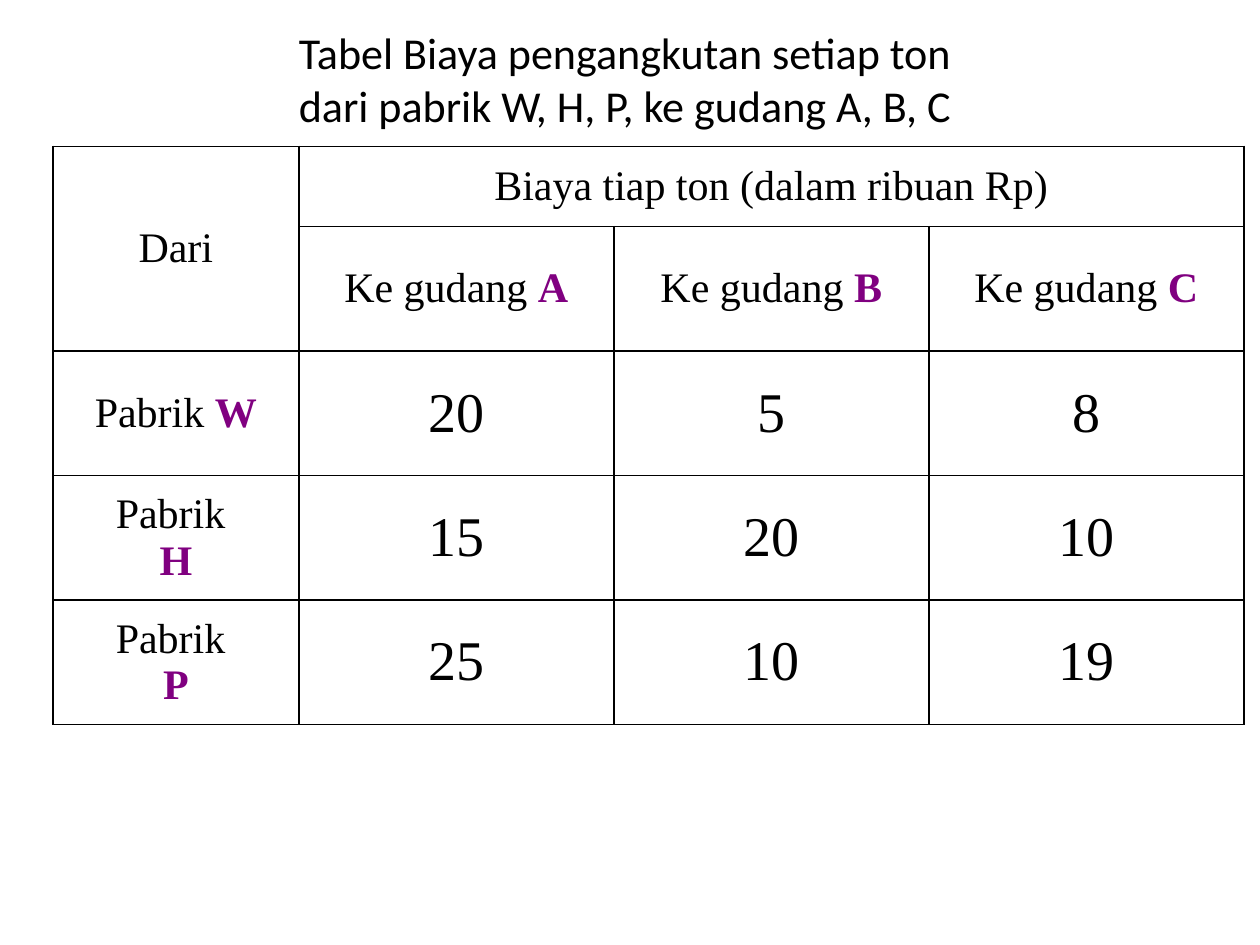
import pptx
import pptx.dml.color
import pptx.enum.text
import pptx.oxml
import pptx.oxml.ns
import pptx.util

Pt = pptx.util.Pt
BLACK, PURPLE = "000000", "800080"


def color(hex_string):
    return pptx.dml.color.RGBColor.from_string(hex_string)


class SlideBuilder:
    title_font, table_font = "Calibri", "Times New Roman"
    title_size, label_size, number_size = 25.2, 24, 32

    def __init__(self, presentation):
        self.slide = presentation.slides.add_slide(presentation.slide_layouts[5])

    def style_run(self, run, font_name, size, hex_string=BLACK, bold=False):
        run.font.name, run.font.size, run.font.bold = font_name, Pt(size), bold
        run.font.color.rgb = color(hex_string)

    def title(self, text, left, top, width, height):
        shape = self.slide.shapes.title
        shape.left, shape.top, shape.width, shape.height = map(Pt, (left, top, width, height))
        frame = shape.text_frame
        frame.text = text
        frame.vertical_anchor = pptx.enum.text.MSO_ANCHOR.MIDDLE
        paragraph = frame.paragraphs[0]
        paragraph.alignment = pptx.enum.text.PP_ALIGN.CENTER
        for run in paragraph.runs:
            self.style_run(run, self.title_font, self.title_size)

    def table(self, left, top, column_widths, row_heights):
        table = self.slide.shapes.add_table(
            len(row_heights), len(column_widths), Pt(left), Pt(top),
            Pt(sum(column_widths)), Pt(sum(row_heights))).table
        table.first_row = table.horz_banding = False
        for column, width in zip(table.columns, column_widths):
            column.width = Pt(width)
        for row, height in zip(table.rows, row_heights):
            row.height = Pt(height)
        for cell in table.iter_cells():
            self.borders(cell)
            cell.fill.background()
        return table

    def borders(self, cell):
        properties = cell._tc.get_or_add_tcPr()
        for side in ("lnL", "lnR", "lnT", "lnB"):
            properties.append(pptx.oxml.parse_xml(
                f'<a:{side} {pptx.oxml.ns.nsdecls("a")} w="{Pt(1)}"><a:solidFill>'
                f'<a:srgbClr val="{BLACK}"/></a:solidFill></a:{side}>'))

    def cell_text(self, cell, text, letter="", size=label_size):
        """Write centred text, followed by an optional highlighted letter."""
        cell.vertical_anchor = pptx.enum.text.MSO_ANCHOR.MIDDLE
        cell.text_frame.text = text
        if letter:
            cell.text_frame.paragraphs[-1].add_run().text = letter
        for paragraph in cell.text_frame.paragraphs:
            paragraph.alignment = pptx.enum.text.PP_ALIGN.CENTER
            for run in paragraph.runs:
                marked = bool(letter) and run.text == letter
                self.style_run(run, self.table_font, size, PURPLE if marked else BLACK, marked)


def main():
    presentation = pptx.Presentation()
    presentation.slide_width, presentation.slide_height = Pt(720), Pt(540)
    builder = SlideBuilder(presentation)

    # Title
    builder.title("Tabel Biaya pengangkutan setiap ton \vdari pabrik W, H, P, ke gudang A, B, C ",
                  0, 13.5, 720, 63)

    # Cost table: two header rows, then one row per factory
    table = builder.table(30.25, 83.7, [140.5] + [180] * 3, [45.8] + [71.1] * 4)
    table.cell(0, 0).merge(table.cell(1, 0))
    table.cell(0, 1).merge(table.cell(0, 3))
    builder.cell_text(table.cell(0, 0), "Dari")
    builder.cell_text(table.cell(0, 1), "Biaya tiap ton (dalam ribuan Rp)")
    for column, warehouse in enumerate("ABC", start=1):
        builder.cell_text(table.cell(1, column), "Ke gudang ", warehouse)

    # Factory labels and costs
    factories = [("Pabrik ", "W", (20, 5, 8)),
                 ("Pabrik \n", "H", (15, 20, 10)),
                 ("Pabrik \n", "P", (25, 10, 19))]
    for row, (label, factory, costs) in enumerate(factories, start=2):
        builder.cell_text(table.cell(row, 0), label, factory)
        for column, cost in enumerate(costs, start=1):
            builder.cell_text(table.cell(row, column), str(cost), size=builder.number_size)

    presentation.save("out.pptx")


if __name__ == "__main__":
    main()
